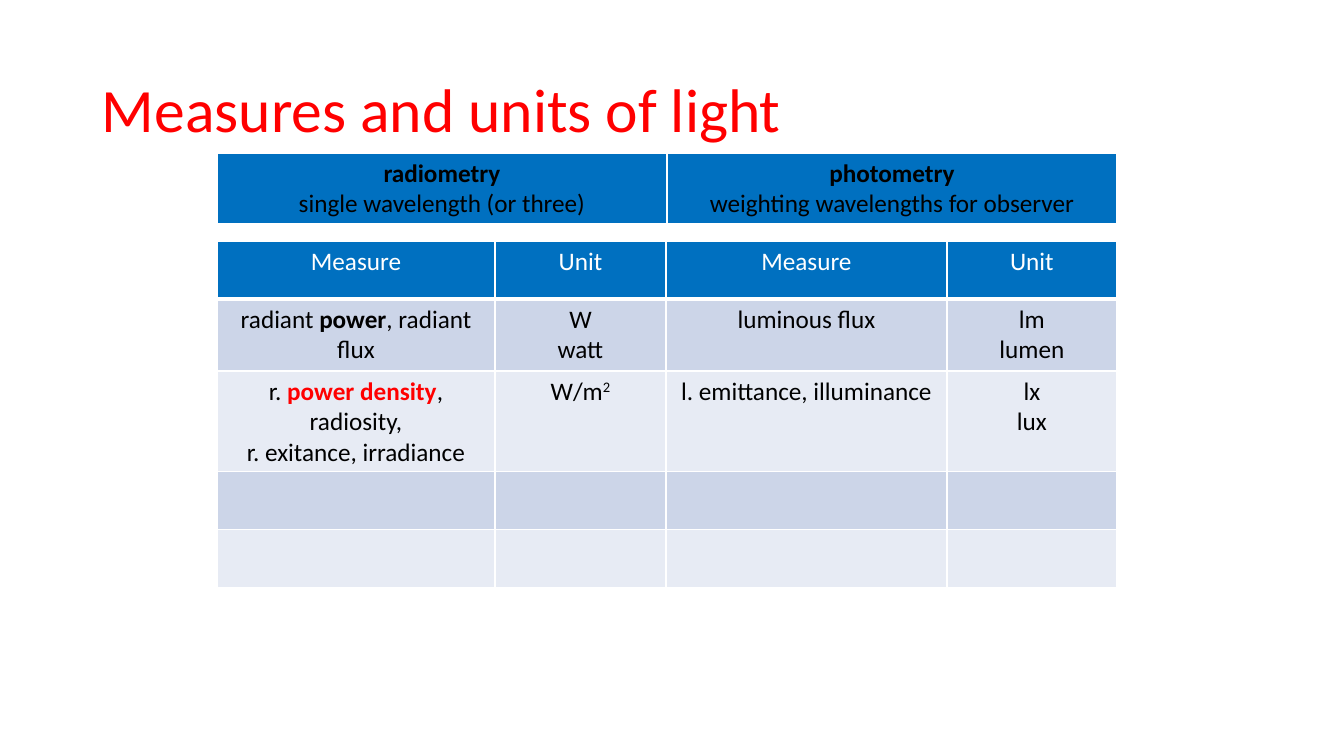
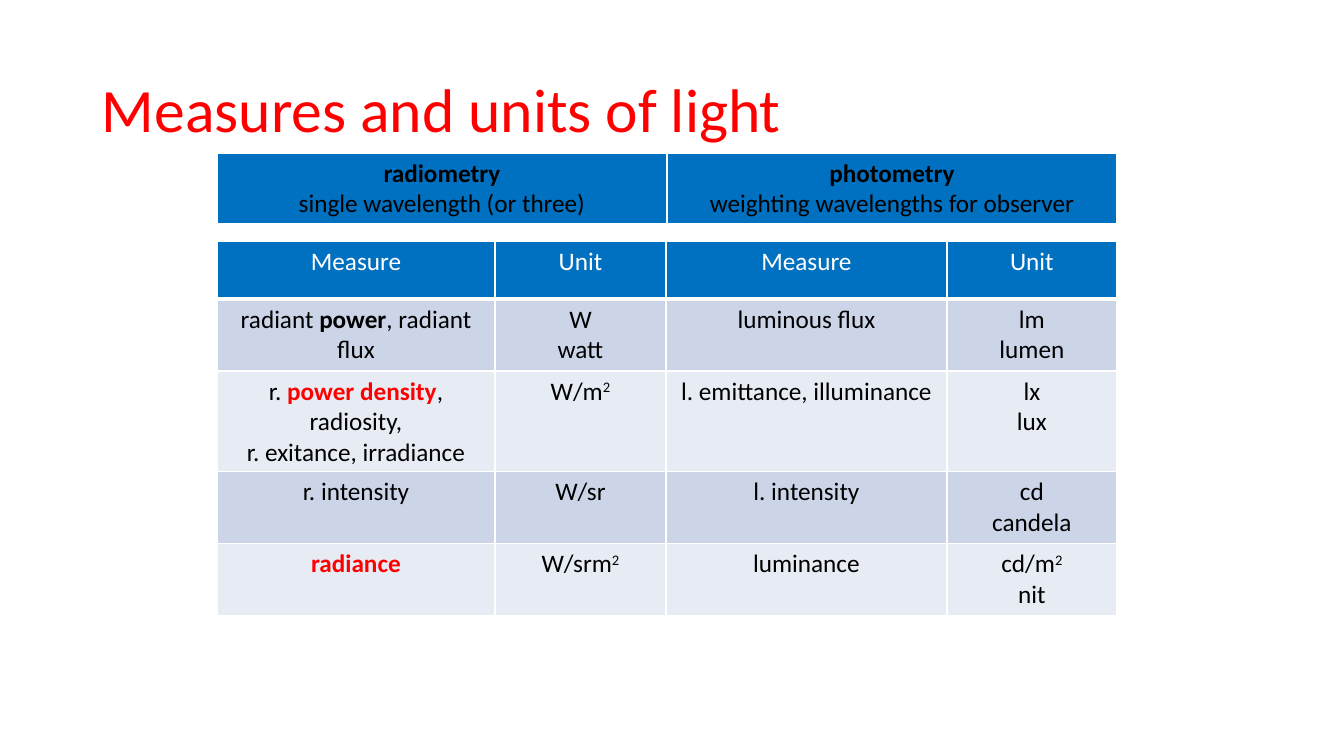
from lxml import etree
from pptx import Presentation
from pptx.dml.color import RGBColor
from pptx.enum.text import MSO_ANCHOR, PP_ALIGN
from pptx.oxml.ns import qn
from pptx.util import Pt

CENTER, MIDDLE = PP_ALIGN.CENTER, MSO_ANCHOR.MIDDLE
PX = 914400 / 100.8
FONT = "Calibri"
RED, BLUE, BLACK, WHITE = "FF0000", "0070C0", "000000", "FFFFFF"
BANDS = ("CCD5E8", "E7EBF4")

# Run styles
BOLD = {"bold": True}
KEY = {"bold": True, "color": RED}
SUP = {"sup": True}

# Content: a cell is a list of lines, a line a list of (text, style) runs
TITLE = "Measures and units of light"
FIELDS = [
    [[("radiometry", BOLD)], [("single wavelength (or three)", {})]],
    [[("photometry", BOLD)], [("weighting wavelengths for observer", {})]],
]


def plain(*lines):
    return [[(line, {})] for line in lines]


HEADS = [plain(word) for word in ("Measure", "Unit", "Measure", "Unit")]
POWER = [
    [[[("radiant ", {}), ("power", BOLD), (", radiant flux", {})]],
     plain("W", "watt"), plain("luminous flux"), plain("lm", "lumen")],
    [[[("r. ", {}), ("power density", KEY), (", radiosity,", {})],
      [("r. exitance, irradiance", {})]],
     [[("W/m", {}), ("2", SUP)]],
     plain("l. emittance, illuminance"), plain("lx", "lux")],
]
ANGLE = [
    [plain("r. intensity"), plain("W/sr"), plain("l. intensity"),
     plain("cd", "candela")],
    [[[("radiance", KEY)]], [[("W/srm", {}), ("2", SUP)]],
     plain("luminance"), [[("cd/m", {}), ("2", SUP)], [("nit", {})]]],
]
EMPTY = [[[] for _ in HEADS] for _ in ANGLE]
SLIDES = [POWER + EMPTY, POWER + ANGLE]

# Layout in px
LEFT = 217
FIELD_TOP, UNIT_TOP = 153, 241
FIELD_COLS, UNIT_COLS = (450, 450), (278, 171, 281, 170)
ROW_MIN, LINE, PAD = 58, 31, 10


def px(n):
    return round(n * PX)


def rgb(code):
    return RGBColor.from_string(code)


def add_run(para, text, size, color, bold=False, sup=False):
    run = para.add_run()
    run.text = text
    font = run.font
    font.name, font.size, font.bold = FONT, Pt(size), bold
    font.color.rgb = rgb(color)
    if sup:
        run._r.get_or_add_rPr().set("baseline", "30000")


def add_edges(cell, low):
    props = cell._tc.get_or_add_tcPr()
    for i, (side, width) in enumerate(zip("LRTB", (1, 1, 1, low))):
        edge = etree.Element(qn(f"a:ln{side}"), w=str(Pt(width)))
        fill = etree.SubElement(edge, qn("a:solidFill"))
        etree.SubElement(fill, qn("a:srgbClr"), val=WHITE)
        props.insert(i, edge)


def fill_cell(cell, lines, back, color, low):
    cell.fill.solid()
    cell.fill.fore_color.rgb = rgb(back)
    add_edges(cell, low)
    frame = cell.text_frame
    for i, line in enumerate(lines):
        para = frame.add_paragraph() if i else frame.paragraphs[0]
        para.alignment = CENTER
        for text, style in line:
            add_run(para, text, 18, **{"color": color, **style})


def row_height(row):
    return max(ROW_MIN, PAD + LINE * max(len(cell) for cell in row))


def add_grid(slide, top, cols, rows, head):
    """The first row is blue with text in the head colour, the rest banded."""
    highs = [row_height(row) for row in rows]
    table = slide.shapes.add_table(
        len(rows), len(cols), px(LEFT), px(top),
        px(sum(cols)), px(sum(highs))).table
    table.first_row = table.horz_banding = False
    for col, width in zip(table.columns, cols):
        col.width = px(width)
    for r, row in enumerate(rows):
        table.rows[r].height = px(highs[r])
        look = (BANDS[(r - 1) % 2], BLACK, 1) if r else (BLUE, head, 3)
        for c, lines in enumerate(row):
            fill_cell(table.cell(r, c), lines, *look)


def add_title(slide):
    frame = slide.shapes.add_textbox(
        px(92), px(40), px(1160), px(146)).text_frame
    frame.word_wrap = True
    frame.vertical_anchor = MIDDLE
    para = frame.paragraphs[0]
    para.line_spacing = 0.9
    add_run(para, TITLE, 44, RED)


def main():
    deck = Presentation()
    deck.slide_width, deck.slide_height = px(1344), px(756)
    for rows in SLIDES:
        slide = deck.slides.add_slide(deck.slide_layouts[6])
        add_title(slide)
        add_grid(slide, UNIT_TOP, UNIT_COLS, [HEADS] + rows, WHITE)
        add_grid(slide, FIELD_TOP, FIELD_COLS, [FIELDS], BLACK)
    deck.save("out.pptx")


if __name__ == "__main__":
    main()
